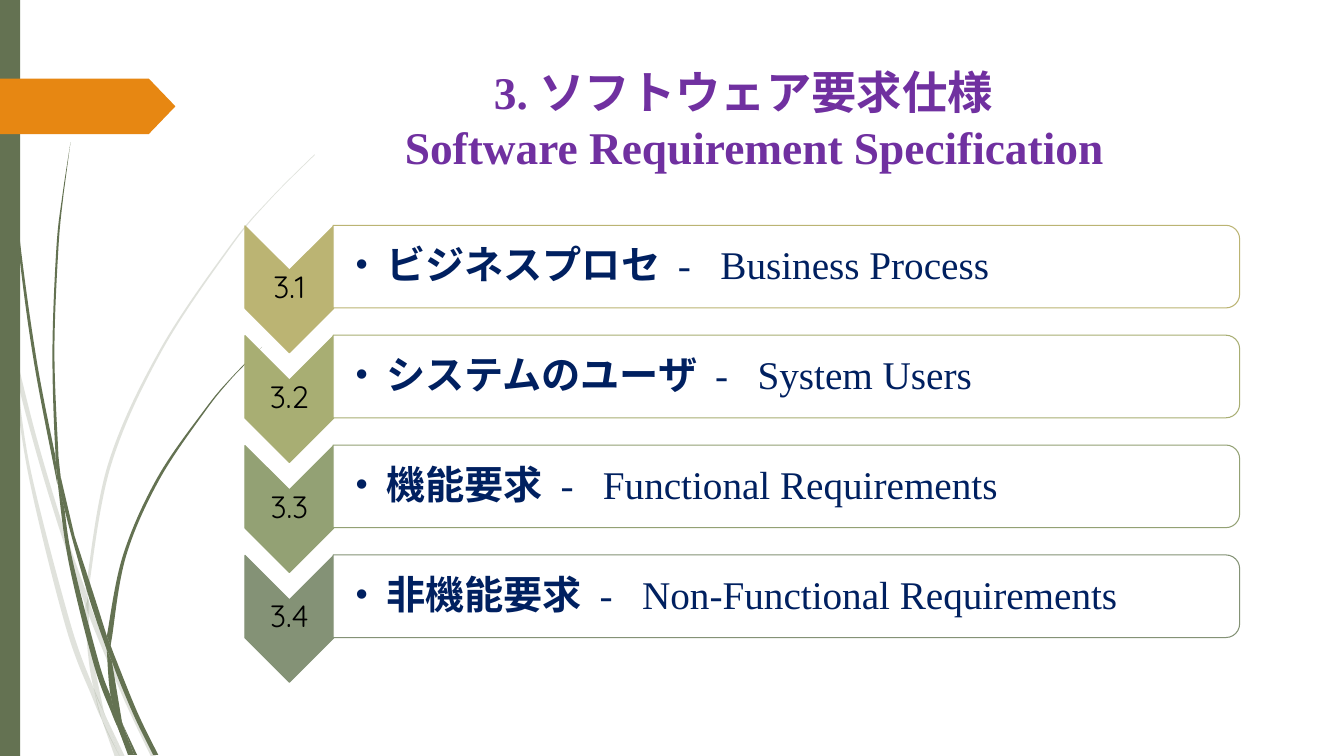
from lxml import etree
from pptx import Presentation
from pptx.dml.color import RGBColor
from pptx.enum.shapes import MSO_SHAPE
from pptx.enum.text import MSO_ANCHOR, PP_ALIGN
from pptx.oxml.ns import qn
from pptx.util import Inches, Pt

CHEVRON = MSO_SHAPE.CHEVRON
PENTAGON = MSO_SHAPE.PENTAGON
RECTANGLE = MSO_SHAPE.RECTANGLE
ROUND_TOP = MSO_SHAPE.ROUND_2_SAME_RECTANGLE
CENTER = PP_ALIGN.CENTER
LEFT = PP_ALIGN.LEFT
TOP = MSO_ANCHOR.TOP
MIDDLE = MSO_ANCHOR.MIDDLE

SERIF = "Times New Roman"
JAPANESE = "Noto Sans CJK SC"
GREEN = "647252"
ORANGE = "E78712"
PURPLE = "7030A0"
NAVY = "002060"


def paint(shape, fill, line=None, opacity=100):
    shape.shadow.inherit = False
    shape.fill.solid()
    shape.fill.fore_color.rgb = RGBColor.from_string(fill)
    if opacity < 100:
        color = shape.fill._xPr.find(qn("a:solidFill"))[0]
        etree.SubElement(color, qn("a:alpha"), val=str(opacity * 1000))
    if line:
        shape.line.color.rgb = RGBColor.from_string(line)
        shape.line.width = Pt(0.75)
    else:
        shape.line.fill.background()


def write(paragraph, text, font, size, color, bold=False):
    run = paragraph.add_run()
    run.text = text
    run.font.name = font
    run.font.size = Pt(size)
    run.font.bold = bold
    run.font.color.rgb = RGBColor.from_string(color)
    etree.SubElement(run.font._element, qn("a:ea"), typeface=font)


prs = Presentation()
prs.slide_width = Inches(13.33)
prs.slide_height = Inches(7.5)
slide = prs.slides.add_slide(prs.slide_layouts[5])
shapes = slide.shapes

pale_grass = [
    ([(0.11, 3.5), (0.09, 3.22), (0, 2.82)], [(0, 2.99), (0.1, 3.44)]),
    ([(0.14, 3.45), (0.17, 3.76), (0.36, 4.49), (0.58, 5.22), (0.84, 5.99)],
     [(0.85, 5.86), (0.62, 5.2), (0.36, 4.33), (0.14, 3.45)]),
    ([(0.88, 5.96), (0.88, 6.1), (1.23, 6.94), (1.5, 7.51)],
     [(1.55, 7.51), (1.27, 6.92), (0.92, 6.07)]),
    ([(1.19, 7.51), (1.24, 7.51)], [(1.05, 7.11)]),
    ([(0.11, 3.5), (0.28, 4.7), (0.65, 6.21), (0.92, 6.93), (1.01, 7.14)],
     [(0.93, 6.83), (0.7, 6.19), (0.31, 4.69), (0.17, 3.76)]),
    ([(0.84, 5.99), (0.87, 6.46), (0.93, 6.83), (1.05, 7.11)],
     [(1.03, 7.06), (0.91, 6.46), (0.88, 6.1)]),
    ([(3.12, 1.53), (2.68, 1.97), (2.28, 2.44), (1.58, 3.48), (1.07, 4.61), (0.85, 5.84)],
     [(0.88, 5.96), (0.88, 5.84), (1.1, 4.62), (1.6, 3.49), (2.29, 2.45),
      (2.68, 1.98), (3.12, 1.54)]),
    ([(1.01, 7.14), (1.14, 7.51)], [(1.19, 7.51)]),
    ([(0.85, 5.86), (0.84, 5.99)], [(0.88, 6.1), (0.88, 5.96)]),
    ([(0.93, 6.83), (1.01, 7.14), (1.19, 7.51)], [(1.05, 7.11)]),
]
dark_grass = [
    ([(0.03, 0), (0.07, 1.1), (0.17, 2.33), (0.33, 3.55), (0.57, 4.81)],
     [(0.55, 4.53), (0.36, 3.55), (0.19, 2.32), (0.08, 1.09), (0.04, 0)]),
    ([(0.6, 4.72), (0.64, 5.05), (0.88, 5.92), (1.06, 6.45)],
     [(1.06, 6.31), (0.93, 5.9), (0.74, 5.32)]),
    ([(1.1, 6.41), (1.11, 6.56), (1.32, 7.08), (1.52, 7.49)],
     [(1.57, 7.49), (1.36, 7.06), (1.13, 6.49)]),
    ([(0.57, 4.77), (0.68, 5.57), (0.93, 6.59), (1.11, 7.08), (1.17, 7.22)],
     [(1.1, 6.91), (0.98, 6.57), (0.72, 5.56), (0.64, 5.05)]),
    ([(0.7, 1.41), (0.62, 1.93), (0.56, 2.45), (0.52, 3.49), (0.55, 4.49), (0.6, 4.72)],
     [(0.58, 4.53), (0.54, 3.49), (0.58, 2.45), (0.63, 1.93)]),
    ([(1.22, 7.19), (1.33, 7.49)], [(1.36, 7.49)]),
    ([(0.55, 4.49), (0.57, 4.77), (0.64, 5.05)], [(0.6, 4.72)]),
    ([(2.6, 3.44), (2.31, 3.73), (2.04, 4.05), (1.56, 4.74), (1.22, 5.51), (1.06, 6.31)],
     [(1.1, 6.41), (1.11, 6.33), (1.25, 5.52), (1.58, 4.76), (2.05, 4.06), (2.31, 3.74)]),
    ([(1.17, 7.22), (1.27, 7.49)], [(1.31, 7.49)]),
    ([(1.06, 6.45), (1.1, 6.91), (1.22, 7.19)], [(1.21, 7.16), (1.11, 6.56)]),
    ([(1.06, 6.31), (1.06, 6.45)], [(1.11, 6.56), (1.1, 6.41)]),
    ([(1.1, 6.91), (1.17, 7.22), (1.3, 7.49)], [(1.33, 7.49), (1.22, 7.19)]),
]
for blades, opacity in ((pale_grass, 20), (dark_grass, 100)):
    for down, up in blades:
        controls = []
        for edge in (down, up):
            controls += [edge[0]] * 3
            padded = [edge[0], *edge, edge[-1]]
            for a, b, c, d in zip(padded, padded[1:], padded[2:], padded[3:]):
                controls.append((b[0] + (c[0] - a[0]) / 6, b[1] + (c[1] - a[1]) / 6))
                controls.append((c[0] - (d[0] - b[0]) / 6, c[1] - (d[1] - b[1]) / 6))
                controls.append(c)
        points = [(Inches(x), Inches(y)) for x, y in controls[3:]]
        builder = shapes.build_freeform(Inches(down[0][0]), Inches(down[0][1]))
        builder.add_line_segments(points, close=True)
        blade = builder.convert_to_shape()
        paint(blade, GREEN, opacity=opacity)
        segments = list(blade._element.iter(qn("a:lnTo")))
        for first, second, third in zip(segments[::3], segments[1::3], segments[2::3]):
            first.tag = qn("a:cubicBezTo")
            for segment in (second, third):
                first.append(segment[0])
                segment.getparent().remove(segment)

side_band = shapes.add_shape(RECTANGLE, 0, 0, Inches(0.2), Inches(7.5))
paint(side_band, GREEN)
page_tab = shapes.add_shape(PENTAGON, 0, Inches(0.78), Inches(1.74), Inches(0.55))
page_tab.adjustments[0] = 0.48
paint(page_tab, ORANGE)

title = shapes.title
title.left, title.top = Inches(2.55), Inches(0.59)
title.width, title.height = Inches(9.75), Inches(1.27)
title.text_frame.vertical_anchor = TOP
heading = title.text_frame.paragraphs[0]
heading.alignment = CENTER
write(heading, "3. ", SERIF, 32.4, PURPLE, True)
write(heading, "ソフトウェア要求仕様 ", JAPANESE, 32.4, PURPLE, True)
heading.add_line_break()
write(heading, " Software Requirement Specification", SERIF, 32.4, PURPLE, True)

sections = [
    ("3.1", "ビジネスプロセ", "Business Process", "BBB473"),
    ("3.2", "システムのユーザ", "System Users", "A8AE73"),
    ("3.3", "機能要求", "Functional Requirements", "93A174"),
    ("3.4", "非機能要求", "Non-Functional Requirements", "849276"),
]
for row, (number, japanese, english, color) in enumerate(sections):
    top = 2.28 + 1.09 * row

    marker = shapes.add_shape(
        CHEVRON, Inches(2.24), Inches(top + 0.15), Inches(1.26), Inches(0.88))
    marker.rotation = 90
    paint(marker, color, color)

    panel = shapes.add_shape(
        ROUND_TOP, Inches(7.39), Inches(top - 4.13), Inches(0.82), Inches(8.99))
    panel.rotation = 90
    paint(panel, "FFFFFF", color, 90)

    number_box = shapes.add_textbox(
        Inches(2.43), Inches(top + 0.39), Inches(0.88), Inches(0.38))
    label_box = shapes.add_textbox(
        Inches(3.3), Inches(top), Inches(8.95), Inches(0.74))
    for box, inset, alignment in ((number_box, 0.02, CENTER), (label_box, 0.22, LEFT)):
        frame = box.text_frame
        frame.word_wrap = True
        frame.vertical_anchor = MIDDLE
        frame.margin_left = Inches(inset)
        frame.margin_top = frame.margin_right = frame.margin_bottom = Inches(0.02)
        frame.paragraphs[0].alignment = alignment
        frame.paragraphs[0].line_spacing = 0.9

    write(number_box.text_frame.paragraphs[0], number, "Quicksand", 22, "000000")
    label = label_box.text_frame.paragraphs[0]
    label.level = 1
    bullet = label._p.get_or_add_pPr()
    bullet.set("marL", str(Inches(0.31)))
    bullet.set("indent", str(Inches(-0.31)))
    etree.SubElement(bullet, qn("a:buFont"), typeface=SERIF)
    etree.SubElement(bullet, qn("a:buChar"), char="•")
    write(label, japanese + "  ", JAPANESE, 28, NAVY, True)
    write(label, "-   " + english, SERIF, 28, NAVY)

prs.save("out.pptx")
